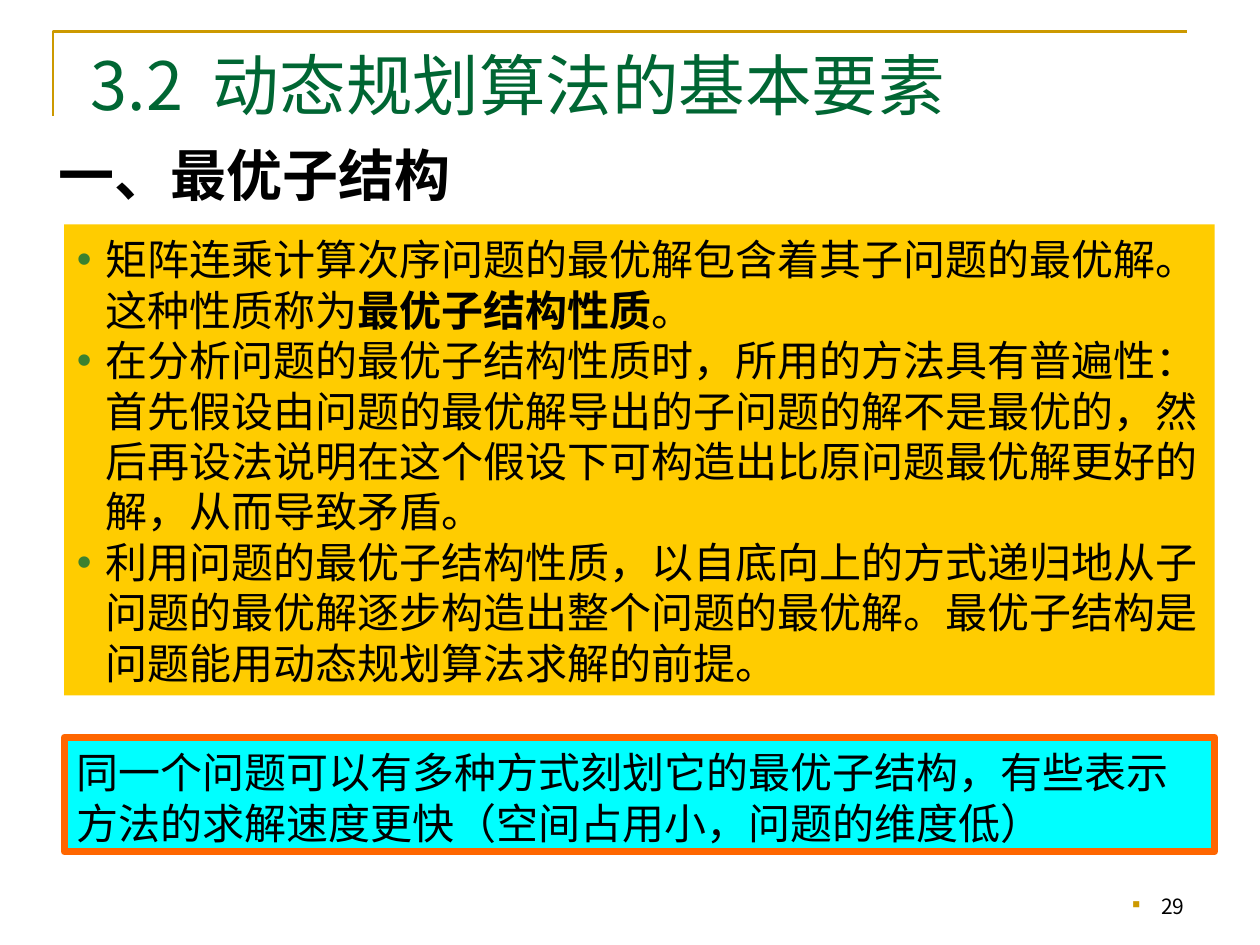
from lxml.etree import SubElement
from pptx import Presentation
from pptx.dml.color import RGBColor
from pptx.enum.shapes import MSO_SHAPE
from pptx.enum.text import MSO_ANCHOR, MSO_AUTO_SIZE, PP_ALIGN
from pptx.oxml.ns import qn
from pptx.util import Inches, Pt

COLORS = {
    "black": "000000", "title": "006633", "gold": "CC9900", "bullet": "3B812F",
    "panel": "FFCC00", "note": "00FFFF", "border": "FF6600",
}


class SlideBuilder:
    font_name = "Noto Sans CJK SC"
    line_factor = 1.2

    def __init__(self, deck):
        self.slide = deck.slides.add_slide(deck.slide_layouts[1])

    def color(self, name):
        return RGBColor.from_string(COLORS[name])

    def place(self, shape, left, top, width, height):
        shape.left, shape.top = Inches(left), Inches(top)
        shape.width, shape.height = Inches(width), Inches(height)

    def set_text(self, shape, paragraphs, size, color="black", bold=False,
                 align=PP_ALIGN.LEFT, anchor=MSO_ANCHOR.TOP, wrap=True):
        """Each paragraph is a list of texts; every second one is emphasised."""
        frame = shape.text_frame
        frame.word_wrap = wrap
        frame.auto_size = MSO_AUTO_SIZE.NONE
        frame.vertical_anchor = anchor
        # Fixed line pitch lifts the baseline, so the insets lower it again
        shift = 0.08 * size / 72
        frame.margin_left = frame.margin_right = Inches(0.1)
        frame.margin_top = Inches(0.05 + shift)
        frame.margin_bottom = Inches(0.05 - shift)
        for index, texts in enumerate(paragraphs):
            para = frame.paragraphs[0] if index == 0 else frame.add_paragraph()
            para.alignment = align
            para.line_spacing = Pt(size * self.line_factor)
            para.space_before = para.space_after = Pt(0)
            for position, text in enumerate(texts):
                span = para.add_run()
                span.text = text
                span.font.size = Pt(size)
                span.font.name = self.font_name
                span.font.bold = bold or position % 2 == 1
                span.font.color.rgb = self.color(color)
                east_asian = SubElement(span.font._element, qn("a:ea"))
                east_asian.set("typeface", self.font_name)
        return frame

    def bullet(self, para, character, color, indent, percent=100):
        properties = para._p.get_or_add_pPr()
        properties.set("marL", str(Inches(indent)))
        properties.set("indent", str(-Inches(indent)))
        tint = SubElement(properties, qn("a:buClr"))
        SubElement(tint, qn("a:srgbClr")).set("val", COLORS[color])
        SubElement(properties, qn("a:buSzPct")).set("val", str(percent * 1000))
        SubElement(properties, qn("a:buChar")).set("char", character)

    def corner_rule(self, left, top, right, bottom):
        builder = self.slide.shapes.build_freeform(Inches(left), Inches(bottom))
        builder.add_line_segments(
            [(Inches(left), Inches(top)), (Inches(right), Inches(top))], close=False)
        rule = builder.convert_to_shape()
        rule.shadow.inherit = False
        rule.fill.background()
        rule.line.color.rgb = self.color("gold")
        rule.line.width = Pt(1.5)

    def title(self, number, text, area):
        shape = self.slide.shapes.title
        self.place(shape, *area)
        frame = self.set_text(shape, [[number, " ", text]], 38, "title",
                              anchor=MSO_ANCHOR.BOTTOM)
        # Widen the gap after the section number
        gap = frame.paragraphs[0].runs[1].font
        gap.bold = False
        gap._element.set("spc", "850")

    def bullet_panel(self, paragraphs, area):
        shape = self.slide.placeholders[1]
        self.place(shape, *area)
        shape.fill.solid()
        shape.fill.fore_color.rgb = self.color("panel")
        frame = self.set_text(shape, paragraphs, 24)
        for para in frame.paragraphs:
            self.bullet(para, "•", "bullet", 0.23)

    def text_box(self, text, area, size, **style):
        box = self.slide.shapes.add_textbox(*map(Inches, area))
        return self.set_text(box, [[text]], size, **style)

    def note(self, text, area):
        shape = self.slide.shapes.add_shape(MSO_SHAPE.RECTANGLE, *map(Inches, area))
        shape.shadow.inherit = False
        shape.fill.solid()
        shape.fill.fore_color.rgb = self.color("note")
        shape.line.color.rgb = self.color("border")
        shape.line.width = Pt(4)
        self.set_text(shape, [[text]], 24)


def main():
    deck = Presentation()
    deck.slide_width, deck.slide_height = Inches(10), Inches(7.5)
    page = SlideBuilder(deck)

    # Title with its corner rule
    page.corner_rule(0.42, 0.25, 9.42, 0.92)
    page.title("3.2", "动态规划算法的基本要素", (0.62, 0.12, 7.72, 0.87))

    # Section heading
    page.text_box("一、最优子结构", (0.36, 1.03, 3.32, 0.63), 32,
                  bold=True, align=PP_ALIGN.CENTER, wrap=False)

    # Main points
    page.bullet_panel([
        ["矩阵连乘计算次序问题的最优解包含着其子问题的最优解。这种性质称为",
         "最优子结构性质", "。"],
        ["在分析问题的最优子结构性质时，所用的方法具有普遍性：首先假设由问题的最优解"
         "导出的子问题的解不是最优的，然后再设法说明在这个假设下可构造出比原问题最优解"
         "更好的解，从而导致矛盾。"],
        ["利用问题的最优子结构性质，以自底向上的方式递归地从子问题的最优解逐步构造出"
         "整个问题的最优解。最优子结构是问题能用动态规划算法求解的前提。"],
    ], (0.51, 1.78, 9.13, 3.74))

    # Closing note
    page.note("同一个问题可以有多种方式刻划它的最优子结构，有些表示方法的求解速度更快"
              "（空间占用小，问题的维度低）", (0.51, 5.85, 9.13, 0.91))

    # Page number
    number = page.text_box("29", (7.17, 6.83, 2.33, 0.5), 12,
                           align=PP_ALIGN.RIGHT, anchor=MSO_ANCHOR.BOTTOM)
    page.bullet(number.paragraphs[0], "■", "gold", 0.23, percent=50)

    deck.save("out.pptx")


if __name__ == "__main__":
    main()
